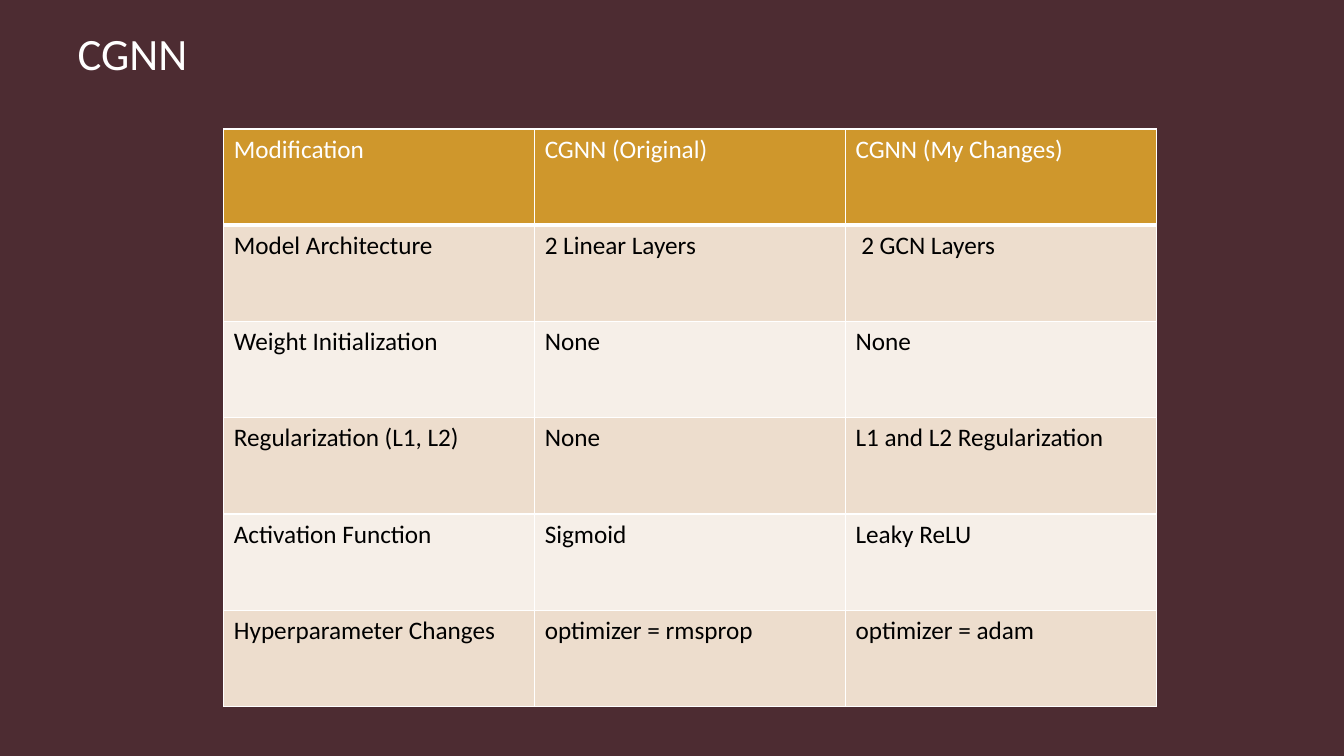
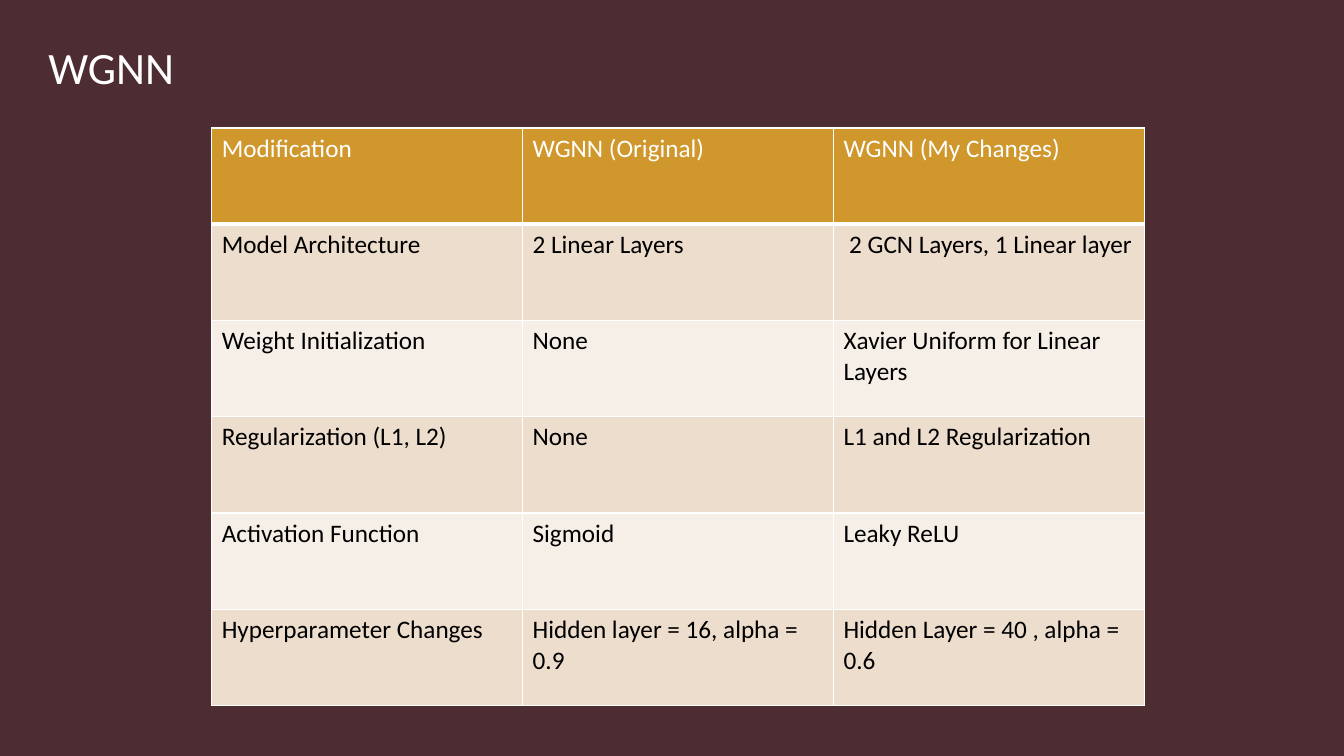
"""Build two slides that compare the CGNN and WGNN model changes."""
from lxml import etree
from pptx import Presentation
from pptx import util as u
from pptx.dml.color import RGBColor
from pptx.enum import text
from pptx.oxml.ns import qn

FONT = "Calibri"
WHITE, BLACK = "FFFFFF", "000000"
BACKGROUND, HEADER = "4D2C32", "CF972C"
BANDS = ("EDDDCD", "F6EFE8")
TABLE_W, TABLE_H = 9.25, 5.73
LABELS = ("Model Architecture", "Weight Initialization", "Regularization (L1, L2)",
          "Activation Function", "Hyperparameter Changes")

MODELS = (
    {
        "name": "CGNN",
        "title_at": (0.67, 0.2, 7.24, 0.64),
        "table_at": (2.22, 1.28),
        "before": ("2 Linear Layers", "None", "None", "Sigmoid", "optimizer = rmsprop"),
        "after": (" 2 GCN Layers", "None", "L1 and L2 Regularization", "Leaky ReLU",
                  "optimizer = adam"),
    },
    {
        "name": "WGNN",
        "title_at": (0.38, 0.34, 6.67, 0.64),
        "table_at": (2.1, 1.27),
        "before": ("2 Linear Layers", "None", "None", "Sigmoid",
                   "Hidden layer = 16, alpha = 0.9"),
        "after": (" 2 GCN Layers, 1 Linear layer", "Xavier Uniform for Linear Layers",
                  "L1 and L2 Regularization", "Leaky ReLU",
                  "Hidden Layer = 40 , alpha = 0.6"),
    },
)


def set_fill(fill, color):
    """Make a fill solid in a hex colour."""
    fill.solid()
    fill.fore_color.rgb = RGBColor.from_string(color)


def write(tf, content, size=18, color=BLACK, bold=False):
    """Put one left-aligned formatted run in a text frame."""
    p = tf.paragraphs[0]
    p.alignment = text.PP_ALIGN.LEFT
    r = p.add_run()
    r.text = content
    r.font.name, r.font.size, r.font.bold = FONT, u.Pt(size), bold
    set_fill(r.font.fill, color)


def set_borders(cell, top=1, bottom=1):
    """Give a cell white borders, with widths in points."""
    tc_pr = cell._tc.get_or_add_tcPr()
    for side, width in (("L", 1), ("R", 1), ("T", top), ("B", bottom)):
        ln = etree.SubElement(tc_pr, qn(f"a:ln{side}"), w=str(u.Pt(width)))
        fill = etree.SubElement(ln, qn("a:solidFill"))
        etree.SubElement(fill, qn("a:srgbClr"), val=WHITE)


def add_title(slide, content, at):
    """Place and fill the title placeholder."""
    sp = slide.shapes.title
    sp.left, sp.top, sp.width, sp.height = map(u.Inches, at)
    tf = sp.text_frame
    tf.word_wrap = True
    tf.auto_size = text.MSO_AUTO_SIZE.SHAPE_TO_FIT_TEXT
    tf.vertical_anchor = text.MSO_ANCHOR.TOP
    write(tf, content, size=32, color=WHITE)


def add_table(slide, rows, at):
    """Add a banded table whose first row is the header."""
    left, top = at
    table = slide.shapes.add_table(len(rows), len(rows[0]), u.Inches(left), u.Inches(top),
                                   u.Inches(TABLE_W), u.Inches(TABLE_H)).table
    for i, row in enumerate(rows):
        is_header = i == 0
        for j, content in enumerate(row):
            cell = table.cell(i, j)
            set_borders(cell, top=3 if i == 1 else 1, bottom=3 if is_header else 1)
            set_fill(cell.fill, HEADER if is_header else BANDS[(i - 1) % 2])
            write(cell.text_frame, content, color=WHITE if is_header else BLACK)


def add_model_slide(prs, model):
    """Add one slide that compares a model before and after the changes."""
    slide = prs.slides.add_slide(prs.slide_layouts.get_by_name("Title Only"))
    name = model["name"]
    header = ("Modification", f"{name} (Original)", f"{name} (My Changes)")
    add_table(slide, [header, *zip(LABELS, model["before"], model["after"])],
              model["table_at"])
    add_title(slide, name, model["title_at"])


def main():
    """Build and save the presentation."""
    prs = Presentation()
    prs.slide_width, prs.slide_height = u.Inches(13.33), u.Inches(7.5)
    set_fill(prs.slide_master.background.fill, BACKGROUND)
    for model in MODELS:
        add_model_slide(prs, model)
    prs.save("out.pptx")


if __name__ == "__main__":
    main()
